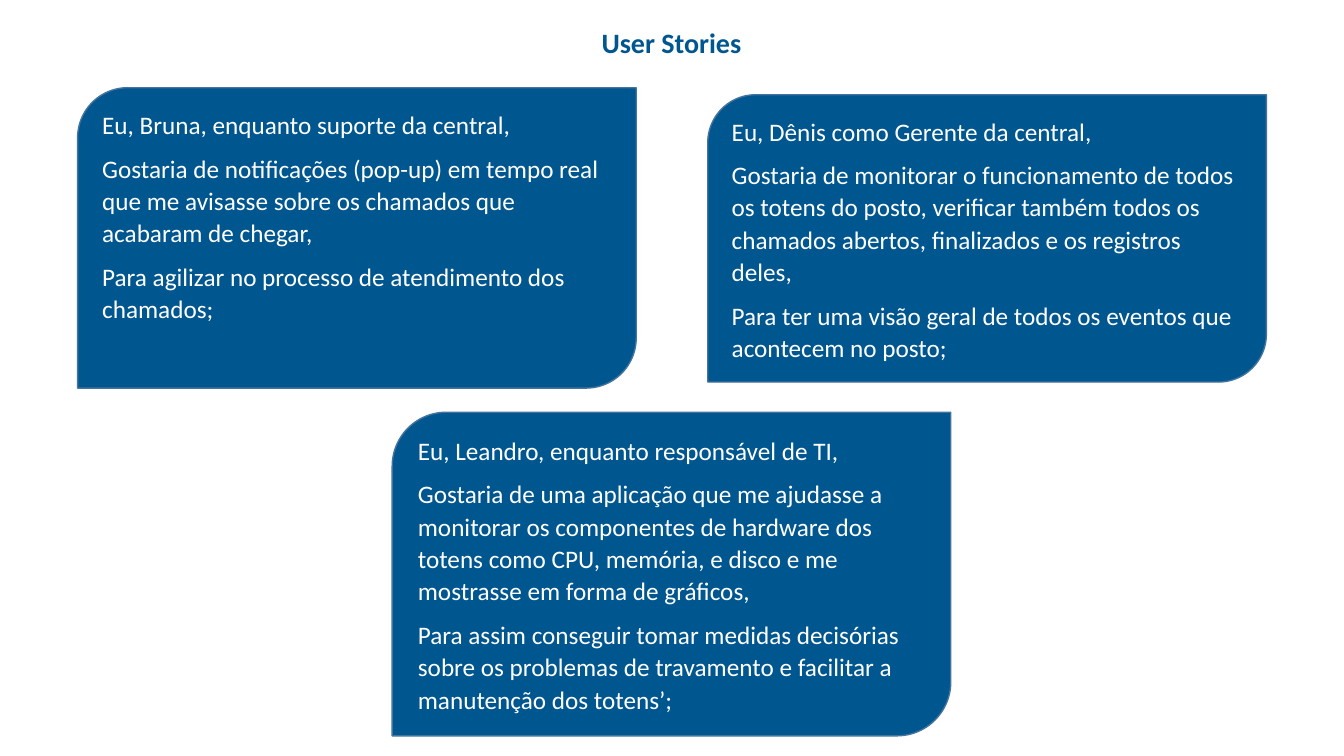
"""Build the User Stories slide with three story cards."""
from pptx import Presentation
from pptx.dml.color import RGBColor
from pptx.enum.shapes import MSO_SHAPE
from pptx.enum.text import MSO_ANCHOR, PP_ALIGN
from pptx.util import Inches, Pt

CARD_SHAPE = MSO_SHAPE.ROUND_2_DIAG_RECTANGLE
TOP = MSO_ANCHOR.TOP
LEFT, CENTER = PP_ALIGN.LEFT, PP_ALIGN.CENTER

COLORS = {"blue": "00568F", "outline": "43739E", "white": "FFFFFF"}
CARD_WIDTH = 5.54
MIDDLE_LEFT = 3.89
TITLE_FORMAT = {"alignment": CENTER}
STORY_FORMAT = {"alignment": LEFT, "line_spacing": 1.07, "space_after": Pt(8)}

STORIES = [
    (MIDDLE_LEFT, 4.09, 3.21, [
        "Eu, Leandro, enquanto responsável de TI,",
        "Gostaria de uma aplicação que me ajudasse a monitorar os componentes de "
        "hardware dos totens como CPU, memória, e disco e me mostrasse em forma "
        "de gráficos,",
        "Para assim conseguir tomar medidas decisórias sobre os problemas de "
        "travamento e facilitar a manutenção dos totens’;",
    ]),
    (0.77, 0.87, 2.98, [
        "Eu, Bruna, enquanto suporte da central,",
        "Gostaria de notificações (pop-up) em tempo real que me avisasse sobre os "
        "chamados que acabaram de chegar,",
        "Para agilizar no processo de atendimento dos chamados;",
    ]),
    (7.02, 0.94, 2.85, [
        "Eu, Dênis como Gerente da central,",
        "Gostaria de monitorar o funcionamento de todos os totens do posto, "
        "verificar também todos os chamados abertos, finalizados e os registros "
        "deles,",
        "Para ter uma visão geral de todos os eventos que acontecem no posto;",
    ]),
]


class StorySlide:
    """Hold the slide and its shared style."""

    def __init__(self, slide, font_name="Calibri"):
        self.slide = slide
        self.font_name = font_name

    def color(self, name):
        return RGBColor.from_string(COLORS[name])

    def fill_text(self, shape, texts, color, paragraph_format, font_format):
        frame = shape.text_frame
        frame.word_wrap = True
        frame.vertical_anchor = TOP
        for index, text in enumerate(texts):
            paragraph = frame.add_paragraph() if index else frame.paragraphs[0]
            for name, value in paragraph_format.items():
                setattr(paragraph, name, value)
            run = paragraph.add_run()
            run.text = text
            run.font.color.rgb = self.color(color)
            for name, value in {"name": self.font_name, **font_format}.items():
                setattr(run.font, name, value)

    def title(self, text, left, top, width, height):
        box = self.slide.shapes.add_textbox(*map(Inches, (left, top, width, height)))
        self.fill_text(box, [text], "blue", TITLE_FORMAT, {"size": Pt(20), "bold": True})

    def card(self, left, top, height, texts):
        shape = self.slide.shapes.add_shape(
            CARD_SHAPE, *map(Inches, (left, top, CARD_WIDTH, height)))
        shape.shadow.inherit = False
        shape.fill.solid()
        shape.fill.fore_color.rgb = self.color("blue")
        shape.line.color.rgb = self.color("outline")
        shape.line.width = Pt(1)
        self.fill_text(shape, texts, "white", STORY_FORMAT, {"size": Pt(18)})


presentation = Presentation()
presentation.slide_width = Inches(13.33)
presentation.slide_height = Inches(7.5)
stories = StorySlide(presentation.slides.add_slide(presentation.slide_layouts[6]))
for story in STORIES:
    stories.card(*story)
stories.title("User Stories", MIDDLE_LEFT, 0.2, CARD_WIDTH, 0.44)
presentation.save("out.pptx")
